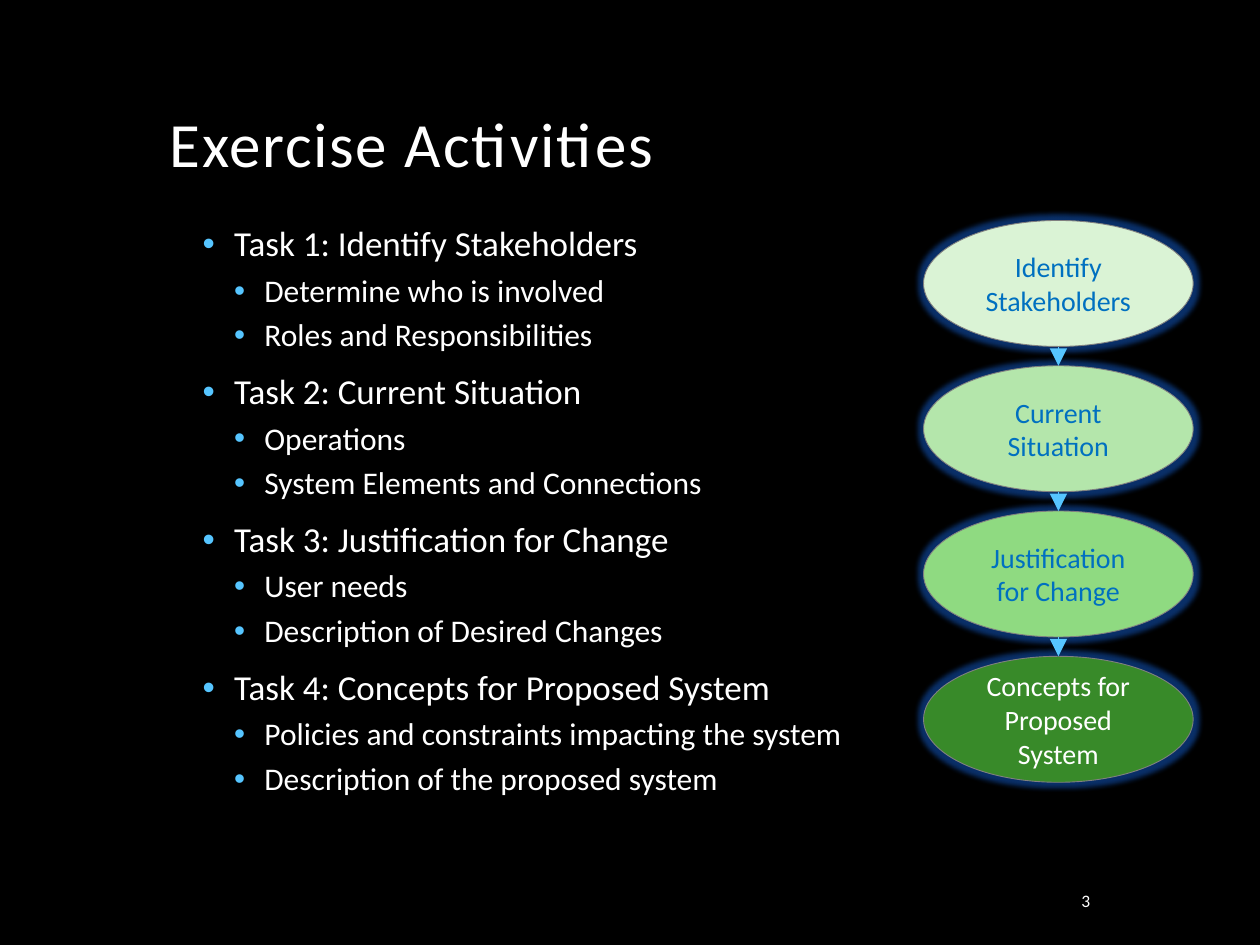
import pptx
import pptx.util
import pptx.dml.color
import pptx.enum.shapes
import pptx.enum.text
import pptx.oxml.ns
from lxml import etree

Inches, Pt = pptx.util.Inches, pptx.util.Pt
ALIGN = pptx.enum.text.PP_ALIGN
ANCHOR = pptx.enum.text.MSO_ANCHOR
qn = pptx.oxml.ns.qn

# Content
TITLE = "Exercise Activities"
PAGE_NUMBER = "3"
TASKS = [
    ("Task 1: Identify Stakeholders",
     ["Determine who is involved", "Roles and Responsibilities"]),
    ("Task 2: Current Situation",
     ["Operations", "System Elements and Connections"]),
    ("Task 3: Justification for Change",
     ["User needs", "Description of Desired Changes"]),
    ("Task 4: Concepts for Proposed System",
     ["Policies and constraints impacting the system",
      "Description of the proposed system"]),
]
STEPS = [  # label, fill, text colour
    ("Identify Stakeholders", "pale", "blue"),
    ("Current Situation", "light", "blue"),
    ("Justification for Change", "medium", "blue"),
    ("Concepts for Proposed System", "dark", "white"),
]

# Style
FONT = "Calibri"
COLORS = {
    "black": "000000", "white": "FFFFFF", "blue": "0070C0", "sky": "56C5FF",
    "gray": "808080", "glow": "1460D2", "pale": "DAF3D5", "light": "B4E6AB",
    "medium": "8FDA81", "dark": "388A29",
}
LEVELS = [  # text size, space before, left margin, hanging indent
    (20, 12, 0.51, -0.25),
    (18, 6, 0.75, -0.24),
]

# Layout of the step chain
STEP_LEFT, STEP_TOP, STEP_WIDTH, STEP_HEIGHT = 7.33, 1.75, 2.14, 1
STEP_PITCH = 1.153


def rgb(name):
    return pptx.dml.color.RGBColor.from_string(COLORS[name])


def add_element(parent, tag, **attributes):
    return etree.SubElement(parent, qn(tag), attributes)


def style_text(para, size, color="white", align=ALIGN.LEFT):
    para.alignment = align
    para.font.name = FONT
    para.font.size = Pt(size)
    para.font.color.rgb = rgb(color)


def add_text_box(page, left, top, width, height, anchor):
    box = page.shapes.add_textbox(
        Inches(left), Inches(top), Inches(width), Inches(height))
    box.text_frame.word_wrap = True
    box.text_frame.vertical_anchor = anchor
    return box.text_frame


def add_bullet(para, left, indent):
    properties = para._p.get_or_add_pPr()
    properties.set("marL", str(Inches(left)))
    properties.set("indent", str(Inches(indent)))
    bullet_color = etree.Element(qn("a:buClr"))
    add_element(bullet_color, "a:srgbClr", val=COLORS["sky"])
    bullet_font = etree.Element(qn("a:buFont"), typeface="Arial")
    bullet = etree.Element(qn("a:buChar"), char="•")
    default_run = properties.find(qn("a:defRPr"))
    for element in (bullet_color, bullet_font, bullet):
        default_run.addprevious(element)


def add_step(page, top, label, fill, color):
    step = page.shapes.add_shape(
        pptx.enum.shapes.MSO_SHAPE.OVAL, Inches(STEP_LEFT), Inches(top),
        Inches(STEP_WIDTH), Inches(STEP_HEIGHT))
    step.fill.solid()
    step.fill.fore_color.rgb = rgb(fill)
    step.line.color.rgb = rgb("gray")
    step.line.width = Pt(0.5)
    step.shadow.inherit = False
    effects = step._element.spPr.find(qn("a:effectLst"))
    glow = add_element(effects, "a:glow", rad=str(Inches(0.08)))
    glow_color = add_element(glow, "a:srgbClr", val=COLORS["glow"])
    add_element(glow_color, "a:alpha", val="50000")
    step.text_frame.word_wrap = True
    step.text_frame.vertical_anchor = ANCHOR.MIDDLE
    para = step.text_frame.paragraphs[0]
    para.text = label
    style_text(para, 16, color, ALIGN.CENTER)


def add_arrow(page, start, end):
    center = Inches(STEP_LEFT + STEP_WIDTH / 2)
    arrow = page.shapes.add_connector(
        pptx.enum.shapes.MSO_CONNECTOR.STRAIGHT,
        center, Inches(start), center, Inches(end))
    arrow.line.color.rgb = rgb("sky")
    arrow.line.width = Pt(0.5)
    add_element(arrow.line._get_or_add_ln(), "a:tailEnd",
                type="triangle", w="lg", len="lg")
    add_element(arrow._element.spPr, "a:effectLst")


def main():
    deck = pptx.Presentation()
    deck.slide_width, deck.slide_height = Inches(10), Inches(7.5)
    page = deck.slides.add_slide(deck.slide_layouts[6])
    page.background.fill.solid()
    page.background.fill.fore_color.rgb = rgb("black")

    # Title
    para = add_text_box(page, 1.25, 0.42, 7.5, 1.5, ANCHOR.MIDDLE).paragraphs[0]
    span = para.add_run()
    span.text = TITLE
    style_text(para, 36)
    para.line_spacing = 0.9
    span.font._element.set("spc", "100")

    # Task list
    frame = add_text_box(page, 1.25, 1.75, 6.08, 5.33, ANCHOR.TOP)
    lines = [(level, text) for task, details in TASKS
             for level, text in [(0, task)] + [(1, item) for item in details]]
    for index, (level, text) in enumerate(lines):
        para = frame.add_paragraph() if index else frame.paragraphs[0]
        size, before, left, indent = LEVELS[level]
        para.text = text
        para.level = level
        style_text(para, size)
        para.line_spacing = 0.9
        para.space_before = Pt(before)
        add_bullet(para, left, indent)

    # Page number
    para = add_text_box(page, 8.06, 7, 0.69, 0.3, ANCHOR.MIDDLE).paragraphs[0]
    para.text = PAGE_NUMBER
    style_text(para, 10, align=ALIGN.RIGHT)

    # Step chain, then the arrows between neighbours
    tops = [STEP_TOP + index * STEP_PITCH for index in range(len(STEPS))]
    for top, step in zip(tops, STEPS):
        add_step(page, top, *step)
    for top, next_top in zip(tops, tops[1:]):
        add_arrow(page, top + STEP_HEIGHT, next_top)

    deck.save("out.pptx")


if __name__ == "__main__":
    main()
